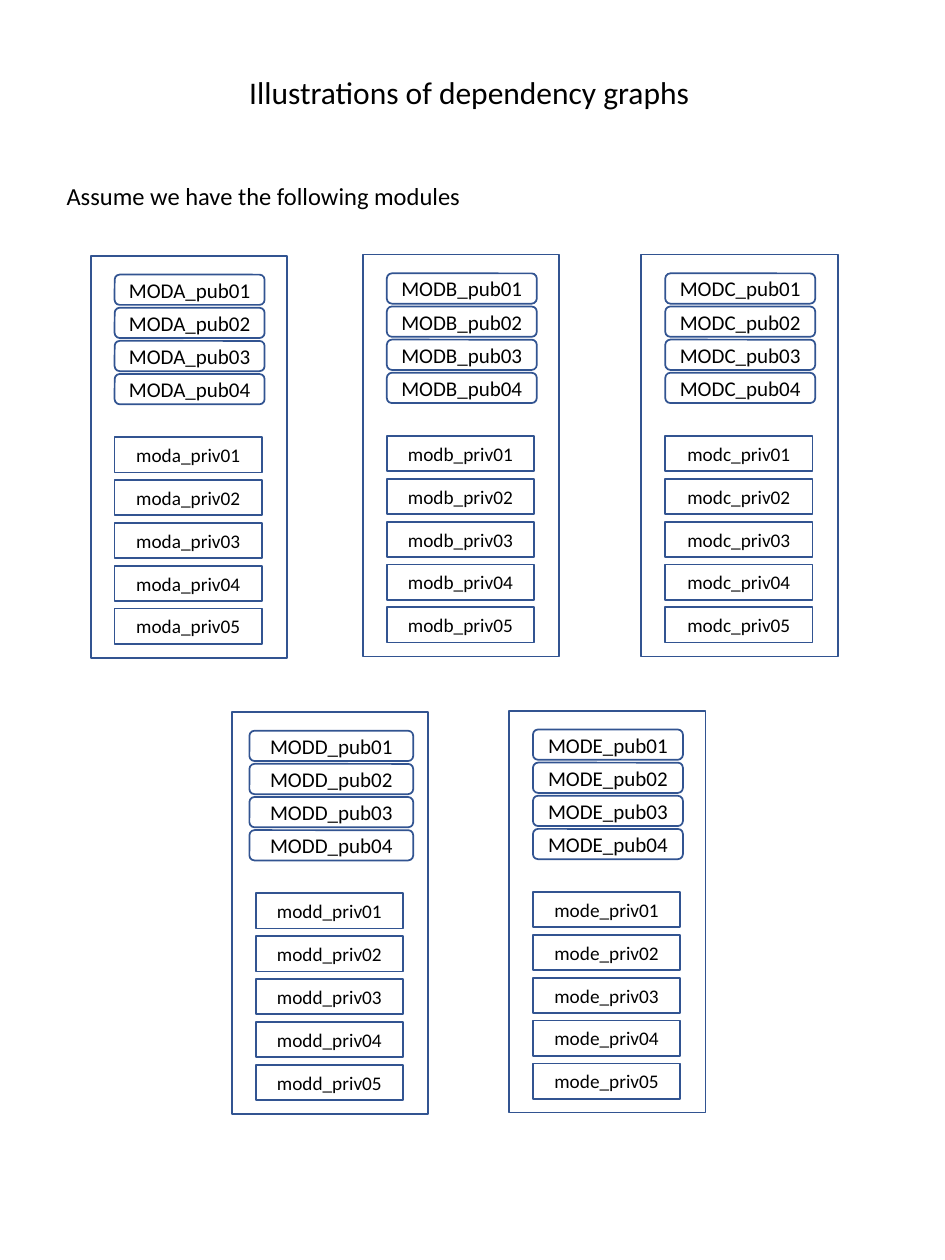
from dataclasses import dataclass

from pptx import Presentation
from pptx.dml.color import RGBColor
from pptx.enum.shapes import MSO_SHAPE
from pptx.enum.text import MSO_ANCHOR, MSO_AUTO_SIZE, PP_ALIGN
from pptx.util import Inches, Pt


@dataclass(frozen=True)
class Theme:
    """Colours, font and type sizes of the slide."""
    font: str = "Calibri"
    text: RGBColor = RGBColor(0x00, 0x00, 0x00)
    outline: RGBColor = RGBColor(0x32, 0x54, 0x91)
    outline_width: float = 1
    title_size: int = 18
    lead_size: int = 14
    public_size: int = 12
    private_size: int = 11


def write_text(text_frame, text, *, theme, size, align=PP_ALIGN.LEFT,
               anchor=MSO_ANCHOR.TOP, wrap=True):
    """Put one formatted paragraph into a text frame."""
    text_frame.word_wrap = wrap
    text_frame.vertical_anchor = anchor
    paragraph = text_frame.paragraphs[0]
    paragraph.alignment = align
    run = paragraph.add_run()
    run.text = text
    run.font.name = theme.font
    run.font.size = Pt(size)
    run.font.color.rgb = theme.text


class SlideBuilder:
    """Draws the elements of one slide in one style."""

    def __init__(self, slide, theme):
        """Keep the slide and its theme."""
        self.slide = slide
        self.theme = theme

    def label(self, text, left, top, width, height, size):
        """Add a free line of text."""
        shape = self.slide.shapes.add_textbox(
            Inches(left), Inches(top), Inches(width), Inches(height))
        write_text(shape.text_frame, text, theme=self.theme, size=size, wrap=False)
        shape.text_frame.auto_size = MSO_AUTO_SIZE.SHAPE_TO_FIT_TEXT

    def box(self, shapes, kind, left, top, width, height, text="", size=None):
        """Add an outlined box, with centred text if there is any."""
        shape = shapes.add_shape(
            kind, Inches(left), Inches(top), Inches(width), Inches(height))
        shape.shadow.inherit = False
        shape.fill.background()
        shape.line.color.rgb = self.theme.outline
        shape.line.width = Pt(self.theme.outline_width)
        if text:
            write_text(shape.text_frame, text, theme=self.theme, size=size,
                       align=PP_ALIGN.CENTER, anchor=MSO_ANCHOR.MIDDLE)

    def module(self, letter, left, top, public_inset=0.19, public_width=1.19):
        """Add a grouped module with its public and private members."""
        shapes = self.slide.shapes.add_group_shape().shapes
        self.box(shapes, MSO_SHAPE.RECTANGLE, left, top, 1.56, 3.19)
        name = f"MOD{letter}"
        for index in range(4):
            self.box(shapes, MSO_SHAPE.ROUNDED_RECTANGLE, left + public_inset,
                     top + 0.15 + index * 0.263, public_width, 0.24,
                     f"{name}_pub{index + 1:02}", self.theme.public_size)
        for index in range(5):
            self.box(shapes, MSO_SHAPE.RECTANGLE, left + 0.19,
                     top + 1.44 + index * 0.34, 1.17, 0.28,
                     f"{name.lower()}_priv{index + 1:02}", self.theme.private_size)


def main():
    """Build and save the slide."""
    theme = Theme()
    presentation = Presentation()
    presentation.slide_width = Inches(7.5)
    presentation.slide_height = Inches(10)
    slide = presentation.slides.add_slide(presentation.slide_layouts[6])
    builder = SlideBuilder(slide, theme)

    builder.label("Illustrations of dependency graphs",
                  1.88, 0.53, 3.74, 0.4, theme.title_size)
    builder.label("Assume we have the following modules",
                  0.43, 1.39, 3.35, 0.34, theme.lead_size)

    builder.module("A", 0.72, 2.03)
    builder.module("B", 2.88, 2.02)
    builder.module("C", 5.09, 2.02)
    builder.module("D", 1.84, 5.65, public_inset=0.14, public_width=1.3)
    builder.module("E", 4.04, 5.64)

    presentation.save("out.pptx")


main()
